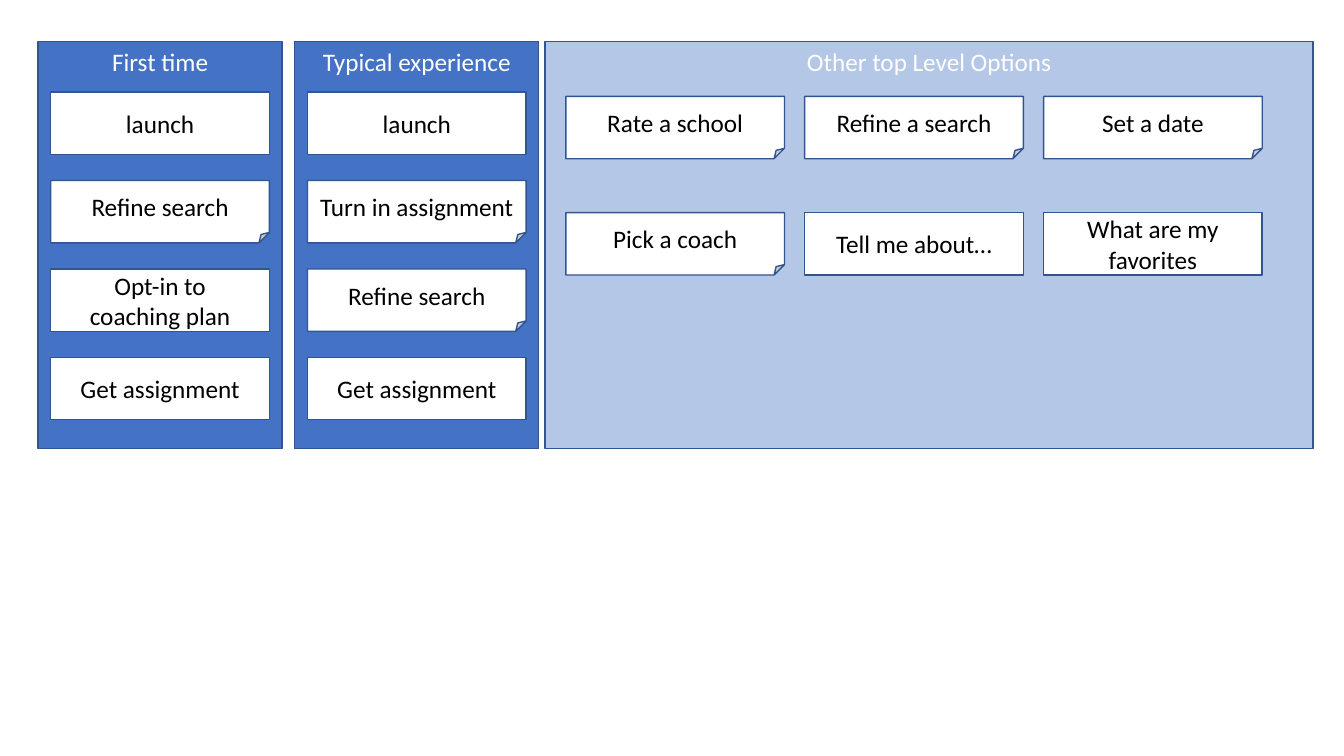
from pptx import Presentation
from pptx.dml.color import RGBColor
from pptx.enum.shapes import MSO_SHAPE
from pptx.enum.text import MSO_ANCHOR, PP_ALIGN
from pptx.util import Cm, Pt

RECT, FOLD = MSO_SHAPE.RECTANGLE, MSO_SHAPE.FOLDED_CORNER
TOP, MIDDLE = MSO_ANCHOR.TOP, MSO_ANCHOR.MIDDLE
CENTER = PP_ALIGN.CENTER

COLORS = {"main": "4472C4", "pale": "B4C7E7", "edge": "325491",
          "white": "FFFFFF", "black": "000000"}
CARD_W, CARD_H = 5.51, 1.57

FIRST = [("launch", RECT), ("Refine search", FOLD),
         ("Opt-in to\ncoaching plan", RECT), ("Get assignment", RECT)]
USUAL = [("launch", RECT), ("Turn in assignment", FOLD),
         ("Refine search", FOLD), ("Get assignment", RECT)]
OTHER = [("Rate a school", FOLD), ("Refine a search", FOLD),
         ("Set a date", FOLD), ("Pick a coach", FOLD),
         ("Tell me about…", RECT), ("What are my favorites", RECT)]


def color(name):
    """Return the named color."""
    return RGBColor.from_string(COLORS[name])


def add_box(slide, kind, box, text, fill, ink, anchor):
    """Draw one outlined shape with centred text; box is in cm."""
    shape = slide.shapes.add_shape(kind, *map(Cm, box))
    shape.shadow.inherit = False
    shape.fill.solid()
    shape.fill.fore_color.rgb = color(fill)
    shape.line.color.rgb = color("edge")
    shape.line.width = Pt(1)
    frame = shape.text_frame
    frame.word_wrap = True
    frame.vertical_anchor = anchor
    frame.text = text
    for para in frame.paragraphs:
        para.alignment = CENTER
        para.font.name = "Calibri"
        para.font.size = Pt(18)
        para.font.color.rgb = color(ink)


def add_panel(slide, box, title, fill, cards, cols, inset, pitch):
    """Draw a titled panel and its grid of cards, row by row."""
    add_box(slide, RECT, box, title, fill, "white", TOP)
    for i, (text, kind) in enumerate(cards):
        row, col = divmod(i, cols)
        left = box[0] + inset[0] + col * pitch[0]
        top = box[1] + inset[1] + row * pitch[1]
        add_box(slide, kind, (left, top, CARD_W, CARD_H), text,
                "white", "black", MIDDLE)


def add_flow(slide, box, title, cards):
    """Draw a panel with a single column of steps."""
    add_panel(slide, box, title, "main", cards, 1, (0.32, 1.28), (0, 2.23))


def add_extras(slide, box):
    """Draw the pale panel of options, three to a row."""
    add_panel(slide, box, "Other top Level Options", "pale", OTHER, 3,
              (0.52, 1.39), (6.02, 2.93))


deck = Presentation()
deck.slide_width, deck.slide_height = Cm(33.87), Cm(19.05)
slide = deck.slides.add_slide(deck.slide_layouts[6])
add_flow(slide, (0.96, 1.04, 6.15, 10.26), "First time", FIRST)
add_flow(slide, (7.43, 1.04, 6.15, 10.26), "Typical experience", USUAL)
add_extras(slide, (13.74, 1.04, 19.35, 10.26))
deck.save("out.pptx")
